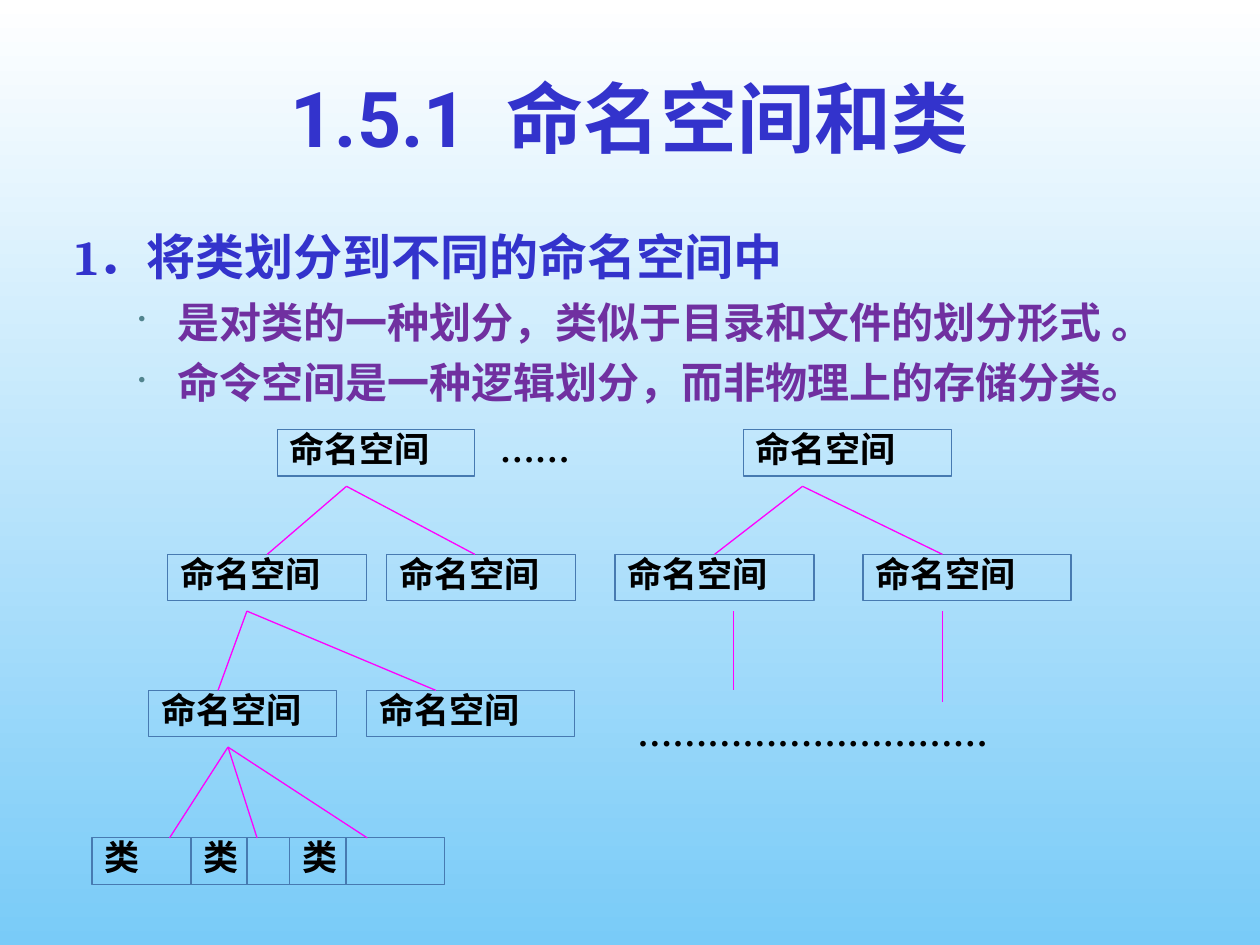
import pptx
import pptx.dml.color
import pptx.enum.shapes
import pptx.enum.text
import pptx.oxml.ns
import pptx.util
from lxml import etree

Pt = pptx.util.Pt
RGBColor = pptx.dml.color.RGBColor
ALIGN = pptx.enum.text.PP_ALIGN
ANCHOR = pptx.enum.text.MSO_ANCHOR
qn = pptx.oxml.ns.qn

WHITE = RGBColor(0xFF, 0xFF, 0xFF)
SKY = RGBColor(0x79, 0xCB, 0xF8)
BLUE = RGBColor(0x33, 0x33, 0xCC)
PURPLE = RGBColor(0x70, 0x30, 0xA0)
TEAL = RGBColor(0x51, 0x84, 0x8E)
BLACK = RGBColor(0, 0, 0)
BOX_LINE = RGBColor(0x47, 0x7A, 0xB1)
MAGENTA = RGBColor(0xFF, 0x00, 0xFF)

CJK_FONT = "Noto Sans CJK SC"
NAMESPACE = "命名空间"
ROW_TOPS = (0, 71.3, 149, 233.3)
BOX_HEIGHT = 26.6
APEX_DROP = 32.4

# Each row lists (left, width, label).
BOX_ROWS = (
    ((105.8, 113, NAMESPACE), (372.2, 118.8, NAMESPACE)),
    ((43.2, 113.8, NAMESPACE), (168.4, 108, NAMESPACE),
     (298.8, 113.8, NAMESPACE), (440.6, 118.8, NAMESPACE)),
    ((32.4, 107.3, NAMESPACE), (156.9, 118.8, NAMESPACE)),
    tuple((column * 56.5, 88.6, "类") for column in range(3)),
)
# Each fan is (row, apex x, ends); an end is an x in the next row.
FANS = (
    (0, 145.4, (100.1, 218.8)),
    (0, 406, (355.7, 486)),
    (1, 88.5, (72, 196.5)),
    (2, 77.7, (44.3, 94.3, 157.3)),
    (1, 366.4, (366.4,)),
)


def add_bullet(paragraph, margin, indent):
    properties = paragraph._p.get_or_add_pPr()
    properties.set("marL", str(Pt(margin)))
    properties.set("indent", str(Pt(indent)))
    color = etree.SubElement(properties, qn("a:buClr"))
    etree.SubElement(color, qn("a:srgbClr")).set("val", str(TEAL))
    etree.SubElement(properties, qn("a:buSzPct")).set("val", "50000")
    etree.SubElement(properties, qn("a:buChar")).set("char", "•")


def write_text(paragraph, text, *, size, font, color, align=ALIGN.LEFT,
               line_spacing=None, space_before=None):
    paragraph.alignment = align
    paragraph.line_spacing = line_spacing
    if space_before is not None:
        paragraph.space_before = Pt(space_before)
    run = paragraph.add_run()
    run.text = text
    run.font.size = Pt(size)
    run.font.bold = True
    run.font.name = font
    run.font.color.rgb = color
    east_asian = etree.SubElement(run._r.get_or_add_rPr(), qn("a:ea"))
    east_asian.set("typeface", CJK_FONT)


def add_text_box(slide, left, top, width, height, anchor=ANCHOR.TOP):
    shape = slide.shapes.add_textbox(Pt(left), Pt(top), Pt(width), Pt(height))
    shape.text_frame.word_wrap = True
    shape.text_frame.vertical_anchor = anchor
    return shape.text_frame


def add_label_box(slide, left, top, width, text):
    shape = slide.shapes.add_shape(
        pptx.enum.shapes.MSO_SHAPE.RECTANGLE,
        Pt(left), Pt(top), Pt(width), Pt(BOX_HEIGHT))
    shape.shadow.inherit = False
    shape.fill.background()
    shape.line.color.rgb = BOX_LINE
    shape.line.width = Pt(0.75)
    frame = shape.text_frame
    frame.word_wrap = True
    frame.vertical_anchor = ANCHOR.TOP
    write_text(frame.paragraphs[0], text, size=20, font=CJK_FONT,
               color=BLACK, line_spacing=0.8)
    return shape


def add_branch(slide, start, end, boxes=()):
    """Draw a line, joined to the box whose top middle it meets."""
    connector = slide.shapes.add_connector(
        pptx.enum.shapes.MSO_CONNECTOR.STRAIGHT,
        *(Pt(value) for value in (*start, *end)))
    connector.line.color.rgb = MAGENTA
    connector.line.width = Pt(0.75)
    etree.SubElement(connector._element.spPr, qn("a:effectLst"))
    for box in boxes:
        if abs(box.left + box.width / 2 - Pt(end[0])) < Pt(1):
            connector.end_connect(box, 0)


def add_dots(slide, left, top, width, text):
    frame = add_text_box(slide, left, top, width, BOX_HEIGHT)
    write_text(frame.paragraphs[0], text, size=20, font="Times New Roman",
               color=BLACK, line_spacing=0.8)


def add_title(slide, left, top, width, height):
    frame = add_text_box(slide, left, top, width, height, ANCHOR.MIDDLE)
    write_text(frame.paragraphs[0], "1.5.1  命名空间和类", size=44,
               font="Roboto", color=BLUE, align=ALIGN.CENTER)


def add_body(slide, left, top, width, height):
    frame = add_text_box(slide, left, top, width, height)
    write_text(frame.paragraphs[0], "1．将类划分到不同的命名空间中",
               size=28, font="Cambria", color=BLUE)
    for text in ("是对类的一种划分，类似于目录和文件的划分形式 。",
                 "命令空间是一种逻辑划分，而非物理上的存储分类。"):
        paragraph = frame.add_paragraph()
        add_bullet(paragraph, 58.5, -22.5)
        write_text(paragraph, text, size=24, font="Cambria", color=PURPLE,
                   space_before=6)


def add_namespace_tree(slide, left, top):
    rows = [[add_label_box(slide, left + x, top + row_top, width, text)
             for x, width, text in row]
            for row_top, row in zip(ROW_TOPS, BOX_ROWS)]
    for row, apex, ends in FANS:
        start = (left + apex, top + ROW_TOPS[row] + APEX_DROP)
        for end in ends:
            add_branch(slide, start, (left + end, top + ROW_TOPS[row + 1]),
                       rows[row + 1])
    add_branch(slide, (left + 486, top + ROW_TOPS[1] + APEX_DROP),
               (left + 486, top + 155.5))
    add_dots(slide, left + 226, top, 108.7, "……")
    add_dots(slide, left + 304.5, top + 162, 254.9, "…………………………")


def paint_background(slide):
    fill = slide.background.fill
    fill.gradient()
    fill.gradient_angle = 270
    for stop, position, color in zip(fill.gradient_stops, (0, 1), (WHITE, SKY)):
        stop.position = position
        stop.color.rgb = color


def main():
    presentation = pptx.Presentation()
    presentation.slide_width = Pt(720)
    presentation.slide_height = Pt(540)
    slide = presentation.slides.add_slide(presentation.slide_layouts[6])
    paint_background(slide)
    add_title(slide, 36, 21.6, 648, 90)
    add_body(slide, 36, 126, 648, 356.4)
    add_namespace_tree(slide, 52.6, 245.5)
    presentation.save("out.pptx")


if __name__ == "__main__":
    main()
